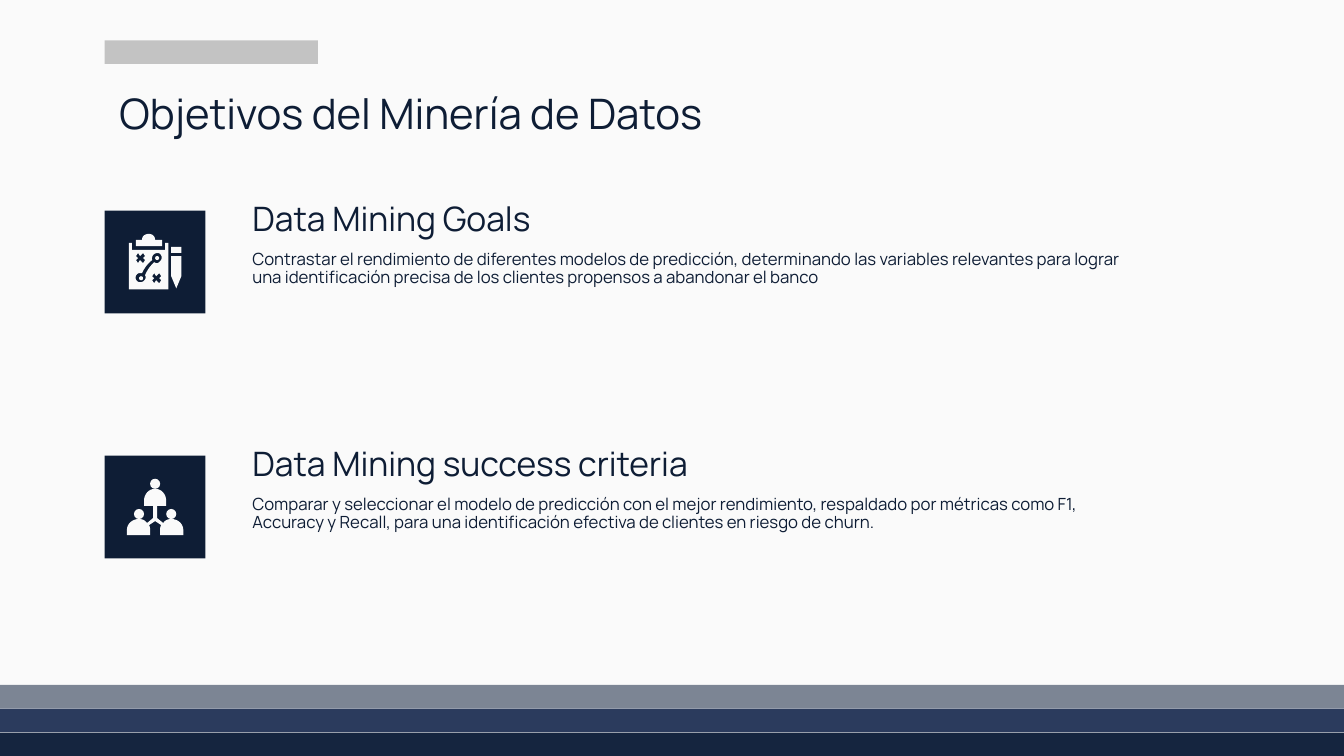
from pptx import Presentation
from pptx.dml.color import RGBColor
from pptx.enum.shapes import MSO_SHAPE
from pptx.enum.text import MSO_ANCHOR
from pptx.util import Cm, Pt

NAVY = RGBColor(0x0E, 0x1D, 0x35)
PAPER = RGBColor(0xFA, 0xFA, 0xFA)
SILVER = RGBColor(0xC3, 0xC3, 0xC3)
BANDS = [RGBColor(0x7C, 0x85, 0x94), RGBColor(0x2B, 0x3B, 0x5D), RGBColor(0x15, 0x25, 0x3F)]

# Icon outlines, in hundredths of a tile's width, from the tile's corner
BOARD = "M 24 32 L 24 78 L 63 78 L 63 32 L 60 32 L 60 39 L 27 39 L 27 32"
CROSS = [(38, 42), (40, 45), (38, 47), (40, 49), (38, 52), (35, 49),
         (33, 52), (31, 49), (33, 47), (31, 45), (33, 42), (35, 45)]
ROUTE = ("M 52 42 C 53 42 54 42 55 43 C 57 45 57 48 55 50 C 54 51 53 52 52 52 "
         "C 51 52 50 52 49 51 C 45 55 42 59 40 64 C 42 67 39 71 35 71 "
         "C 31 71 29 66 32 63 C 33 62 34 62 35 62 C 36 62 36 62 37 62 "
         "C 39 57 43 52 47 49 C 46 45 49 42 52 42")
CLIP = ("M 44 23 C 40 23 37 25 37 29 L 31 29 L 31 35 L 57 35 L 57 29 "
        "L 50 29 C 50 25 47 23 44 23")
PENCIL = "M 66 45 L 66 65 L 71 77 L 76 65 L 76 45"
TEAM = ("M 50 33 C 44 33 39 38 39 45 L 39 50 L 48 50 L 48 62 L 42 67 "
        "C 40 64 37 63 34 63 C 27 63 22 68 22 74 L 22 79 L 45 79 L 45 74 "
        "C 45 72 45 71 44 69 L 50 65 L 56 69 C 55 71 55 72 55 74 L 55 79 "
        "L 78 79 L 78 74 C 78 68 73 63 66 63 C 63 63 60 64 58 67 L 52 62 "
        "L 52 50 L 61 50 L 61 45 C 61 38 56 33 50 33")


def trace(outline, steps=8):
    """Turn an outline of M, L and C commands into a list of points."""
    points = []
    for command in outline.replace("M", "|").replace("L", "|").replace("C", "|").split("|")[1:]:
        numbers = [int(word) for word in command.split()]
        pairs = list(zip(numbers[::2], numbers[1::2]))
        if len(pairs) == 1:
            points += pairs
            continue
        curve = [points[-1]] + pairs
        for step in range(1, steps + 1):
            t = step / steps
            weights = ((1 - t) ** 3, 3 * t * (1 - t) ** 2, 3 * t * t * (1 - t), t ** 3)
            points.append(tuple(sum(w * point[axis] for w, point in zip(weights, curve))
                                for axis in (0, 1)))
    return points


def write_text(frame, text, size, color=NAVY, font="Manrope", spacing=0.9):
    para = frame.paragraphs[0]
    para.line_spacing = spacing
    span = para.add_run()
    span.text = text
    span.font.size = Pt(size)
    span.font.name = font
    span.font.color.rgb = color


class SlidePainter:
    unit = 0.0254  # one icon unit in centimetres
    inset = Cm(0.34)

    def __init__(self, page):
        self.page = page
        page.background.fill.solid()
        page.background.fill.fore_color.rgb = PAPER

    def paint(self, shape, color):
        shape.shadow.inherit = False
        shape.fill.solid()
        shape.fill.fore_color.rgb = color
        shape.line.fill.background()

    def block(self, left, top, width, height, color, kind=MSO_SHAPE.RECTANGLE):
        shape = self.page.shapes.add_shape(kind, Cm(left), Cm(top), Cm(width), Cm(height))
        self.paint(shape, color)

    def text(self, left, top, width, height, text, size, anchor=MSO_ANCHOR.TOP):
        box = self.page.shapes.add_textbox(Cm(left), Cm(top), Cm(width), Cm(height))
        frame = box.text_frame
        frame.word_wrap = True
        frame.vertical_anchor = anchor
        frame.margin_left = frame.margin_right = self.inset
        frame.margin_top = frame.margin_bottom = self.inset
        write_text(frame, text, size)

    def mark(self, corner, x, y, width, height, kind=MSO_SHAPE.OVAL):
        left, top = corner
        self.block(left + x * self.unit, top + y * self.unit,
                   width * self.unit, height * self.unit, PAPER, kind)

    def outline(self, corner, *contours):
        """Draw closed contours as one shape; inner contours become holes."""
        left, top = corner
        builder = None
        for contour in contours:
            points = [(Cm(left + x * self.unit), Cm(top + y * self.unit)) for x, y in contour]
            if builder is None:
                builder = self.page.shapes.build_freeform(*points[0], scale=1.0)
            else:
                builder.move_to(*points[0])
            builder.add_line_segments(points[1:], close=True)
        self.paint(builder.convert_to_shape(), PAPER)


def draw_clipboard(painter, corner):
    second_cross = [(x + 16, y + 20) for x, y in CROSS]
    painter.outline(corner, trace(BOARD), CROSS, second_cross, trace(ROUTE))
    painter.outline(corner, trace(CLIP))
    painter.outline(corner, trace(PENCIL))
    painter.mark(corner, 66, 36, 10, 6, MSO_SHAPE.RECTANGLE)
    for x, y in ((34, 65), (50, 45)):
        painter.mark(corner, x, y, 4, 4)


def draw_team(painter, corner):
    painter.outline(corner, trace(TEAM))
    for x, y in ((45, 23), (29, 53), (61, 53)):
        painter.mark(corner, x, y, 10, 10)


GOALS = [
    ("Data Mining Goals",
     "Contrastar el rendimiento de diferentes modelos de predicción, determinando las "
     "variables relevantes para lograr una identificación precisa de los clientes "
     "propensos a abandonar el banco", draw_clipboard),
    ("Data Mining success criteria",
     "Comparar y seleccionar el modelo de predicción con el mejor rendimiento, respaldado "
     "por métricas como F1, Accuracy y Recall, para una identificación efectiva de "
     "clientes en riesgo de churn.", draw_team),
]


def main():
    deck = Presentation()
    deck.slide_width, deck.slide_height = Cm(33.87), Cm(19.05)
    painter = SlidePainter(deck.slides.add_slide(deck.slide_layouts[6]))

    # Footer bands and top marker
    for index, color in enumerate(BANDS):
        painter.block(0, 17.26 + 0.6 * index, 33.87, 0.59, color)
    painter.block(2.64, 1.02, 5.37, 0.59, SILVER)

    # Title
    painter.text(2.67, 2.01, 28.52, 2.13, "Objetivos del Minería de Datos", 30)

    # Goals: tile with icon, heading and description
    for index, (heading, description, draw_icon) in enumerate(GOALS):
        corner = (2.64, 5.31 + 6.17 * index)
        top = corner[1]
        painter.block(*corner, 2.54, 2.59, NAVY)
        draw_icon(painter, corner)
        painter.text(6.02, top - 0.28, 23.22, 1.32, heading, 24, MSO_ANCHOR.BOTTOM)
        painter.text(6.02, top + 0.68, 23.22, 2.59, description, 12)

    deck.save("out.pptx")


if __name__ == "__main__":
    main()
